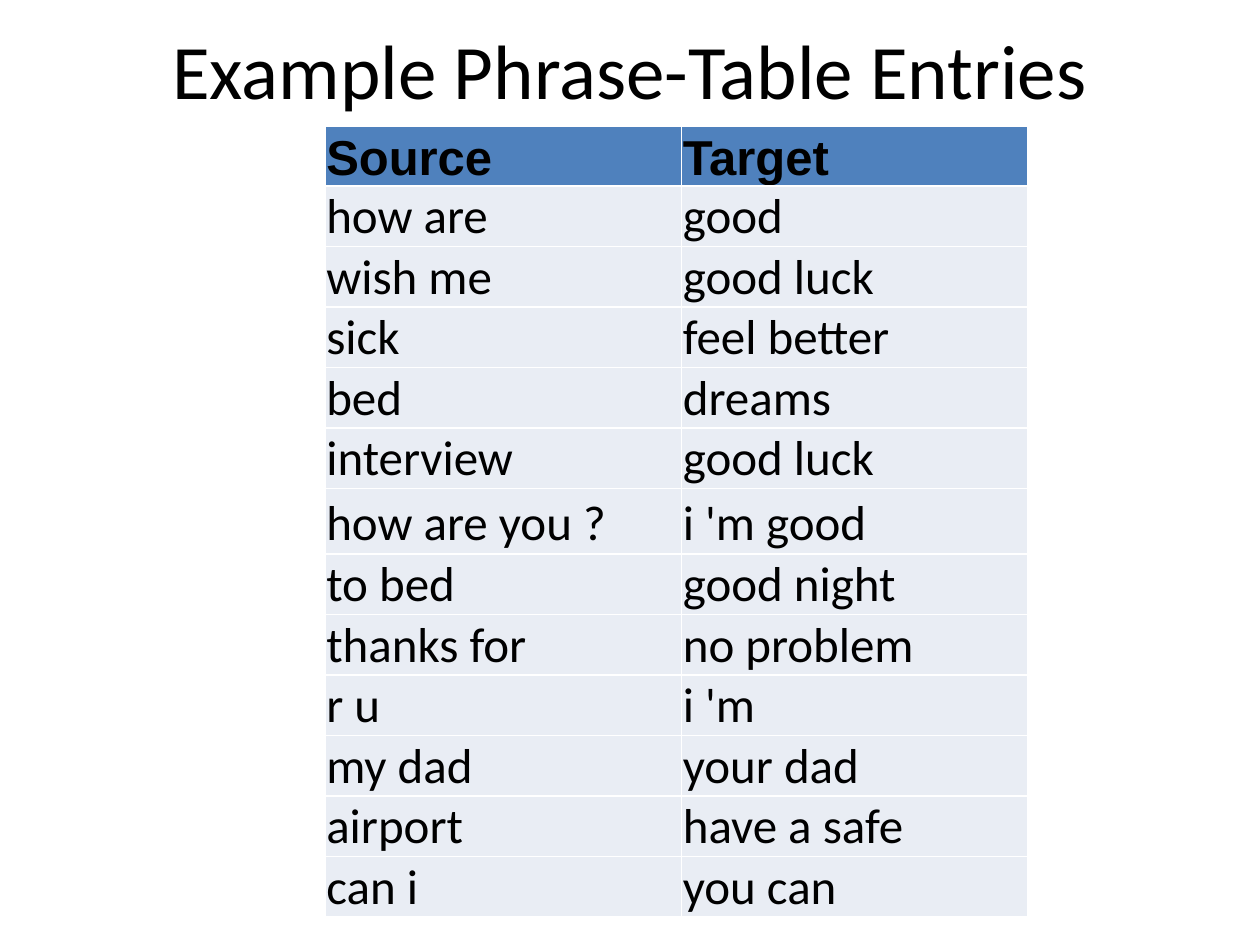
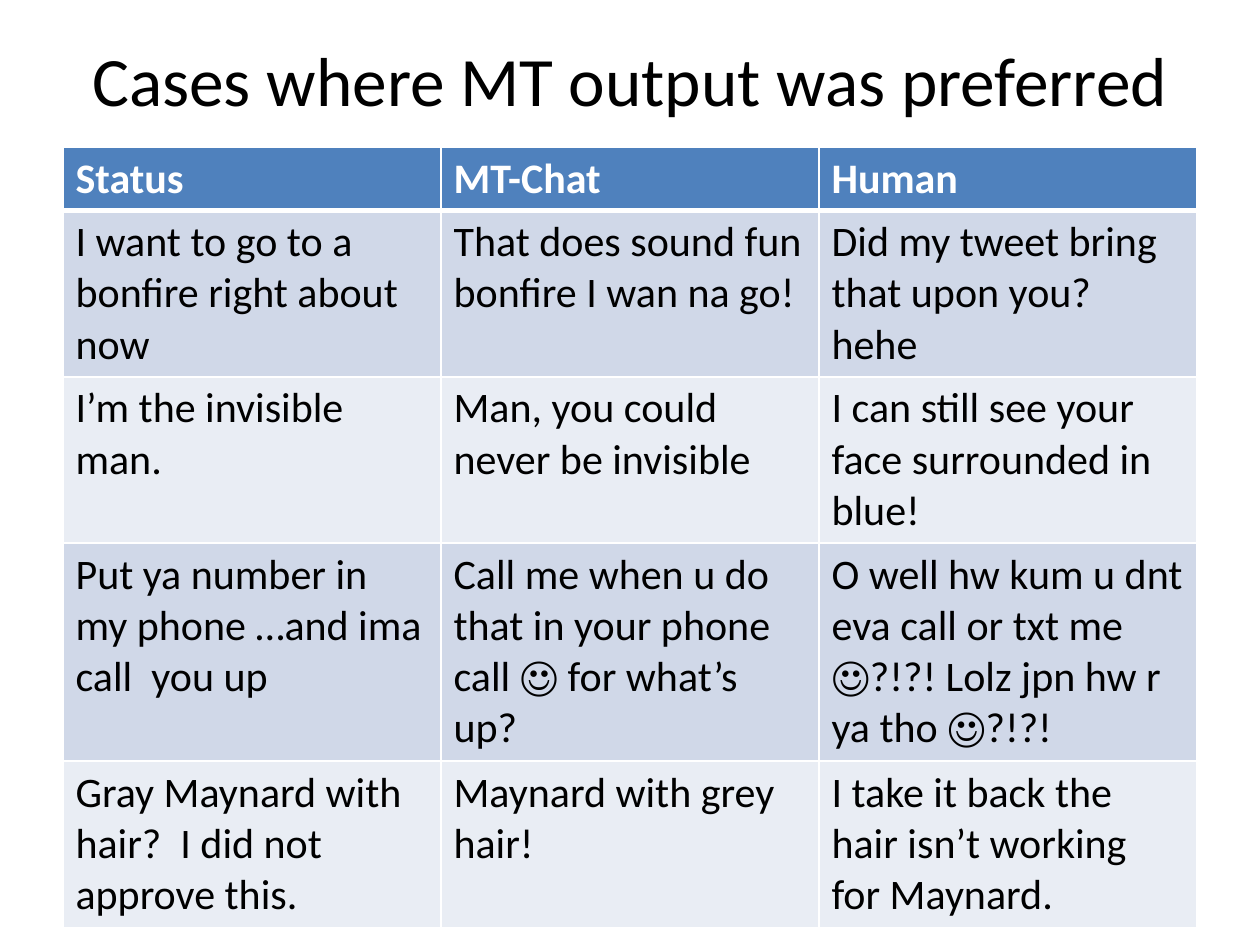
import pptx
import pptx.util
import pptx.dml.color
import pptx.enum.text
import pptx.oxml
import pptx.oxml.ns

Inches, Pt = pptx.util.Inches, pptx.util.Pt
RGBColor = pptx.dml.color.RGBColor
ANCHOR = pptx.enum.text.MSO_ANCHOR
ALIGN = pptx.enum.text.PP_ALIGN

BLACK = RGBColor(0x00, 0x00, 0x00)
WHITE = RGBColor(0xFF, 0xFF, 0xFF)
HEADER_BLUE = RGBColor(0x4F, 0x81, 0xBD)
BAND_DARK = RGBColor(0xD0, 0xD8, 0xE8)
BAND_LIGHT = RGBColor(0xE9, 0xED, 0xF4)
FONT = "Calibri"

PHRASES = [
    ("Source", "Target"),
    ("how are", "good"),
    ("wish me", "good luck"),
    ("sick", "feel better"),
    ("bed", "dreams"),
    ("interview", "good luck"),
    ("how are you ?", "i 'm good"),
    ("to bed", "good night"),
    ("thanks for", "no problem"),
    ("r u", "i 'm"),
    ("my dad", "your dad"),
    ("airport", "have a safe"),
    ("can i", "you can"),
]
PHRASE_HEIGHTS = [0.44] + [0.48] * 5 + [0.52] + [0.48] * 6

CASES = [
    ("Status", "MT-Chat", "Human"),
    ("I want to go to a bonfire right about now",
     "That does sound fun bonfire I wan na go!",
     "Did my tweet bring that upon you? hehe"),
    ("I’m the invisible man.",
     "Man, you could never be invisible",
     "I can still see your face surrounded in blue!"),
    ("Put ya number in my phone …and ima call  you up",
     "Call me when u do that in your phone call ☺ for what’s up?",
     "O well hw kum u dnt eva call or txt me ☺?!?! Lolz jpn hw r ya tho ☺?!?!"),
    ("Gray Maynard with hair?  I did not approve this.",
     "Maynard with grey hair!",
     "I take it back the hair isn’t working for Maynard."),
]
CASE_HEIGHTS = [0.5, 1.32, 1.32, 1.73, 1.32]


def add_run(p, text, size, color=BLACK, font=FONT, bold=False):
    """Add one styled run to a paragraph."""
    r = p.add_run()
    r.text = text
    r.font.size = Pt(size)
    r.font.name = font
    r.font.bold = bold
    r.font.color.rgb = color


def add_title(slide, text, top, size):
    """Add the centred slide title."""
    tf = slide.shapes.add_textbox(Inches(0.5), Inches(top), Inches(9), Inches(1.25)).text_frame
    tf.word_wrap = True
    tf.vertical_anchor = ANCHOR.MIDDLE
    p = tf.paragraphs[0]
    p.alignment = ALIGN.CENTER
    add_run(p, text, size)


def set_borders(cell, top, bottom):
    """Give a cell white borders, with top and bottom widths in points."""
    tcPr = cell._tc.get_or_add_tcPr()
    for side, width in (("L", 1), ("R", 1), ("T", top), ("B", bottom)):
        tcPr.append(pptx.oxml.parse_xml(
            f'<a:ln{side} {pptx.oxml.ns.nsdecls("a")} w="{Pt(width)}"><a:solidFill>'
            f'<a:srgbClr val="{WHITE}"/></a:solidFill></a:ln{side}>'))


def add_table(slide, rows, left, top, widths, heights, size, bands,
              header_font=FONT, header_color=WHITE, header_rule=1, compact=False):
    """Add a table with a blue header row and body rows in repeating bands."""
    table = slide.shapes.add_table(
        len(rows), len(widths), Inches(left), Inches(top),
        Inches(sum(widths)), Inches(sum(heights))).table
    for column, width in zip(table.columns, widths):
        column.width = Inches(width)
    for i, (row, height) in enumerate(zip(rows, heights)):
        table.rows[i].height = Inches(height)
        header = i == 0
        for j, text in enumerate(row):
            cell = table.cell(i, j)
            set_borders(cell, header_rule if i == 1 else 1, header_rule if header else 1)
            cell.fill.solid()
            cell.fill.fore_color.rgb = HEADER_BLUE if header else bands[(i - 1) % len(bands)]
            if compact:
                cell.vertical_anchor = ANCHOR.BOTTOM
                cell.margin_left = cell.margin_right = cell.margin_top = Inches(0.01)
                cell.margin_bottom = 0
            p = cell.text_frame.paragraphs[0]
            if header:
                add_run(p, text, size, header_color, header_font, True)
            else:
                add_run(p, text, size)


def main():
    """Build both slides and save the presentation."""
    prs = pptx.Presentation()
    prs.slide_width, prs.slide_height = Inches(10), Inches(7.5)
    blank = prs.slide_layouts[6]

    slide = prs.slides.add_slide(blank)
    add_title(slide, "Example Phrase-Table Entries", -0.08, 44)
    add_table(slide, PHRASES, 2.58, 1, [2.83, 2.75], PHRASE_HEIGHTS, 28, [BAND_LIGHT],
              header_font="Arial", header_color=BLACK, compact=True)

    slide = prs.slides.add_slide(blank)
    add_title(slide, "Cases where MT output was preferred", 0, 39.6)
    add_table(slide, CASES, 0.5, 1.17, [3] * 3, CASE_HEIGHTS, 24, [BAND_DARK, BAND_LIGHT],
              header_rule=3)

    prs.save("out.pptx")


if __name__ == "__main__":
    main()
